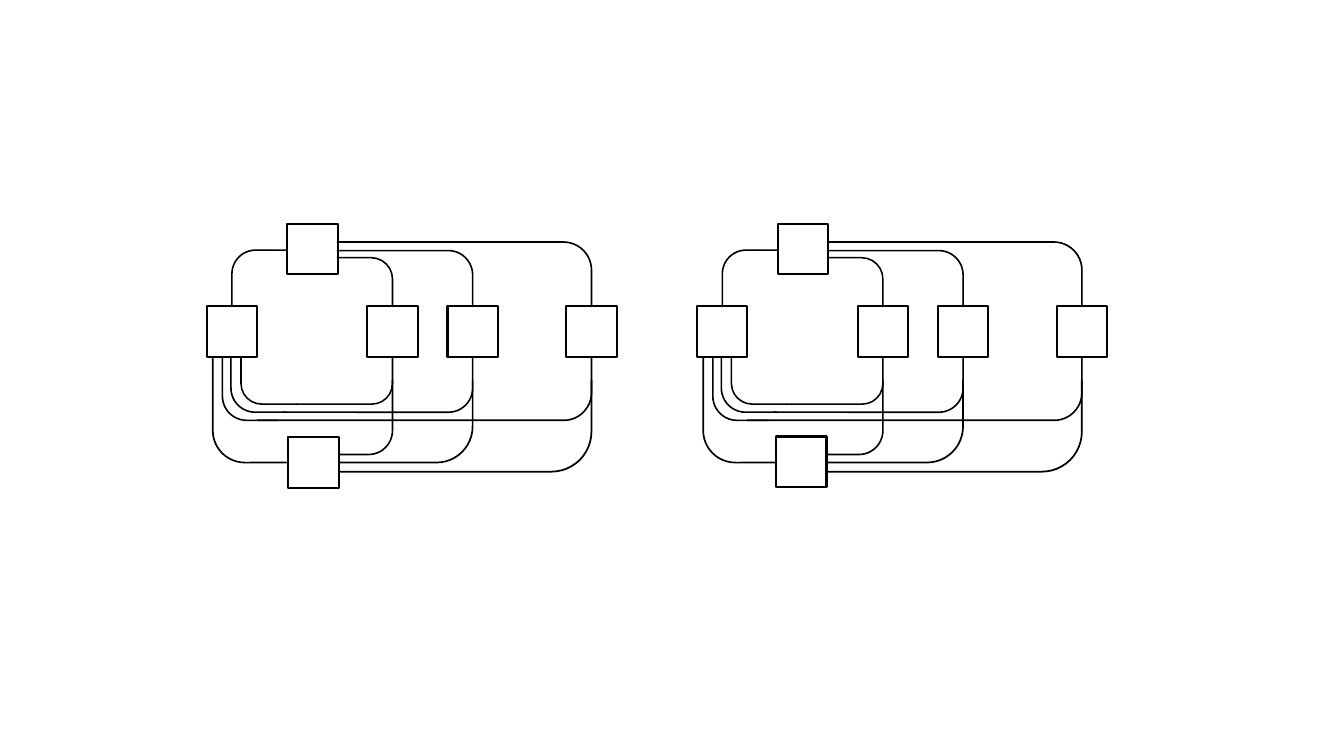
from pptx import Presentation
from pptx.dml.color import RGBColor
from pptx.enum.shapes import MSO_SHAPE
from pptx.util import Pt

COLORS = {"line": "000000", "node": "FFFFFF"}
NODE_SIZE = 36
ROW_TOP = 218.9
ROW_BOTTOM = ROW_TOP + NODE_SIZE
UNIT_STEP = 350.3
FIRST_LEFT = 147.6
BEND_ADJUSTMENTS = (0.006, 0.002, 0, 0.438)

# fmt: off
COLUMNS = (
    {"center": 280.4, "above": 184, "below": 288.7, "outer": 324.7, "drop": 172.1, "join": 211.7},
    {"center": 337.7, "above": 178.9, "below": 294.5, "outer": 330.5, "drop": 164.9, "join": 202.3},
    {"center": 422.6, "above": 172.8, "below": 300.3, "outer": 337, "drop": 158.8, "join": 183.6},
)
# fmt: on


class Diagram:
    def __init__(self, slide):
        self.slide = slide
        self.offset = 0

    def outlined_shape(self, kind, left, top, width, height, line_width):
        shape = self.slide.shapes.add_shape(
            kind, Pt(left + self.offset), Pt(top), Pt(width), Pt(height)
        )
        shape.shadow.inherit = False
        shape.line.color.rgb = RGBColor.from_string(COLORS["line"])
        shape.line.width = Pt(line_width)
        return shape

    def node(self, left, top, filled=False):
        shape = self.outlined_shape(
            MSO_SHAPE.RECTANGLE, left, top, NODE_SIZE, NODE_SIZE, 1.5
        )
        if filled:
            shape.fill.solid()
            shape.fill.fore_color.rgb = RGBColor.from_string(COLORS["node"])
        else:
            shape.fill.background()

    def bend(self, left, top, right, bottom, rotation):
        width, height = right - left, bottom - top
        if rotation in (90, 270):
            left += (width - height) / 2
            top += (height - width) / 2
            width, height = height, width
        shape = self.outlined_shape(
            MSO_SHAPE.BENT_ARROW, left, top, width, height, 1
        )
        shape.rotation = rotation
        shape.fill.solid()
        shape.fill.fore_color.rgb = RGBColor.from_string(COLORS["line"])
        for index, value in enumerate(BEND_ADJUSTMENTS):
            shape.adjustments[index] = value

    def column(self, center, above, below, outer, drop, join):
        self.node(center - NODE_SIZE / 2, ROW_TOP)
        self.bend(240.9, above, center, ROW_TOP, 90)
        self.bend(drop, ROW_BOTTOM, drop + 39.6, below, 270)
        self.bend(join, ROW_BOTTOM, center, below, 180)
        self.bend(241.2, 271.4, center, outer, 180)

    def unit(self, offset, bottom_left, bottom_top):
        self.offset = offset
        self.node(FIRST_LEFT, ROW_TOP)
        self.node(205.2, 159.8)
        self.bend(165.6, 178.6, 204.5, ROW_TOP, 0)
        self.bend(151.9, ROW_BOTTOM, 204.5, 330.5, 270)
        for column in COLUMNS:
            self.column(**column)
        self.node(bottom_left, bottom_top, filled=True)


def main():
    presentation = Presentation()
    presentation.slide_width = Pt(960)
    presentation.slide_height = Pt(540)
    slide = presentation.slides.add_slide(presentation.slide_layouts[6])
    diagram = Diagram(slide)
    diagram.unit(0, 205.9, 312.5)
    diagram.unit(UNIT_STEP, 204.1, 311.8)
    presentation.save("out.pptx")


if __name__ == "__main__":
    main()
